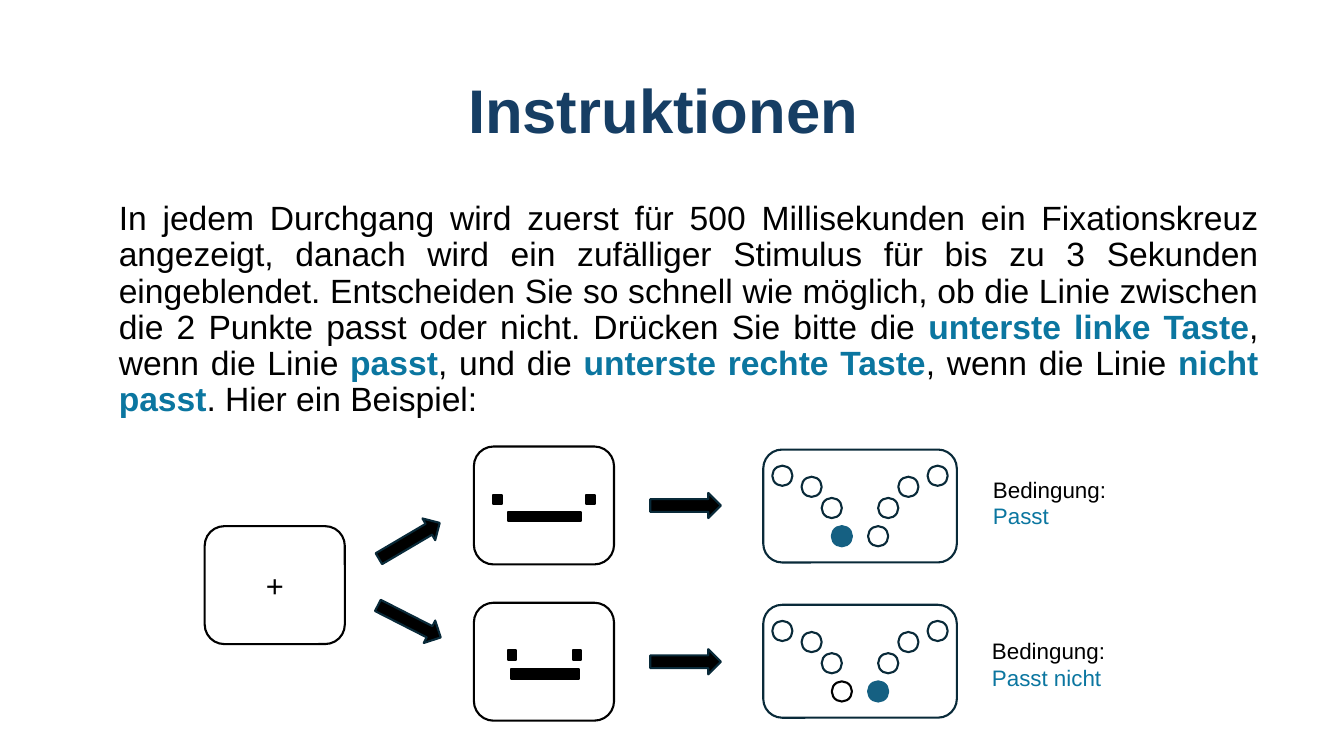
from lxml import etree
from pptx import Presentation
from pptx.dml.color import RGBColor
from pptx.enum.shapes import MSO_SHAPE
from pptx.enum.text import MSO_ANCHOR, PP_ALIGN
from pptx.util import Emu, Pt

PX = 9144  # 100 px to the inch
C = {"title": "163E64", "text": "000000", "accent": "0B76A0",
     "outline": "092A39", "dot": "156082", "white": "FFFFFF"}

prs = Presentation()
prs.slide_width, prs.slide_height = Emu(1333 * PX), Emu(750 * PX)
s = prs.slides.add_slide(prs.slide_layouts[6])


def add_shape(kind, x, y, w, h, fill, line):
    sp = s.shapes.add_shape(kind, *(Emu(v * PX) for v in (x, y, w, h)))
    sp.shadow.inherit = False
    if fill:
        sp.fill.solid()
        sp.fill.fore_color.rgb = RGBColor.from_string(C[fill])
    else:
        sp.fill.background()
    sp.line.color.rgb = RGBColor.from_string(C[line])
    sp.line.width = Pt(1.5)
    return sp


def add_text(x, y, w, h, size, paragraphs, align=PP_ALIGN.LEFT, spacing=1.0):
    """Each paragraph is a list of (text, colour, bold) runs."""
    tf = s.shapes.add_textbox(*(Emu(v * PX) for v in (x, y, w, h))).text_frame
    tf.word_wrap = True
    for i, runs in enumerate(paragraphs):
        p = tf.add_paragraph() if i else tf.paragraphs[0]
        p.alignment, p.line_spacing = align, spacing
        p.font.name, p.font.size = "Arial", Pt(size)
        for text, color, bold in runs:
            r = p.add_run()
            r.text = text
            r.font.bold = bold
            r.font.color.rgb = RGBColor.from_string(C[color])
    return tf


# Title and instructions
tf = add_text(83, 40, 1150, 145, 44, [[("Instruktionen", "title", True)]],
              PP_ALIGN.CENTER, 0.9)
tf.vertical_anchor = MSO_ANCHOR.MIDDLE
add_text(108, 195, 1150, 476, 24, [[
    ("In jedem Durchgang wird zuerst für 500 Millisekunden ein Fixationskreuz "
     "angezeigt, danach wird ein zufälliger Stimulus für bis zu 3 Sekunden "
     "eingeblendet. Entscheiden Sie so schnell wie möglich, ob die Linie "
     "zwischen die 2 Punkte passt oder nicht. Drücken Sie bitte die ", "text", False),
    ("unterste linke Taste", "accent", True),
    (", wenn die Linie ", "text", False),
    ("passt", "accent", True),
    (", und die ", "text", False),
    ("unterste rechte Taste", "accent", True),
    (", wenn die Linie ", "text", False),
    ("nicht passt", "accent", True),
    (". Hier ein Beispiel:", "text", False),
]], PP_ALIGN.JUSTIFY, 0.9)

# Fixation cross
sp = add_shape(MSO_SHAPE.ROUNDED_RECTANGLE, 203, 522, 139, 117, "white", "text")
tf = sp.text_frame
tf.vertical_anchor = MSO_ANCHOR.MIDDLE
p = tf.paragraphs[0]
p.text = "+"
p.alignment = PP_ALIGN.CENTER
p.font.name, p.font.size = "Arial", Pt(22)
p.font.color.rgb = RGBColor.from_string(C["text"])

# Arrows from the cross to the stimuli and on to the keys
for x, y, angle in [(371, 524, 329.5), (371, 604, 27), (645, 489, 0), (645, 644, 0)]:
    sp = add_shape(MSO_SHAPE.RIGHT_ARROW, x, y, 70, 25, "text", "outline")
    sp.rotation = angle

# Stimulus cards: two points and a line each
stimuli = [
    (443, [(489, 491, 9, 9), (581, 491, 9, 9), (504, 508, 72, 9)]),
    (598, [(504, 645, 8, 10), (568, 645, 8, 10), (507, 664, 67, 10)]),
]
for top, bars in stimuli:
    add_shape(MSO_SHAPE.ROUNDED_RECTANGLE, 470, top, 139, 117, "white", "text")
    for bar in bars:
        add_shape(MSO_SHAPE.RECTANGLE, *bar, "text", "text")

# Response pads: keys mirrored left and right, the correct one filled
PAD_X, PAD_W, KEY = 757, 192, 20
left_keys = [(9, 16), (38, 27), (58, 48), (68, 76)]
for top, correct, idle_line in [(446, "left", "outline"), (600, "right", "text")]:
    add_shape(MSO_SHAPE.ROUNDED_RECTANGLE, PAD_X, top, PAD_W, 112, None, "outline")
    for dx, dy in left_keys:
        lowest = (dx, dy) == left_keys[-1]
        for side, x in [("left", dx), ("right", PAD_W - KEY - dx)]:
            hit = lowest and side == correct
            line = "dot" if hit else "outline"
            if lowest and side == "left" and not hit:
                line = idle_line
            add_shape(MSO_SHAPE.OVAL, PAD_X + x, top + dy, KEY, KEY,
                      "dot" if hit else None, line)

# Condition labels
for x, y, w, condition in [(975, 467, 232, "Passt"), (974, 627, 252, "Passt nicht")]:
    add_text(x, y, w, 64, 16, [[("Bedingung:", "text", False)],
                               [(condition, "accent", False)]])

prs.save("out.pptx")
